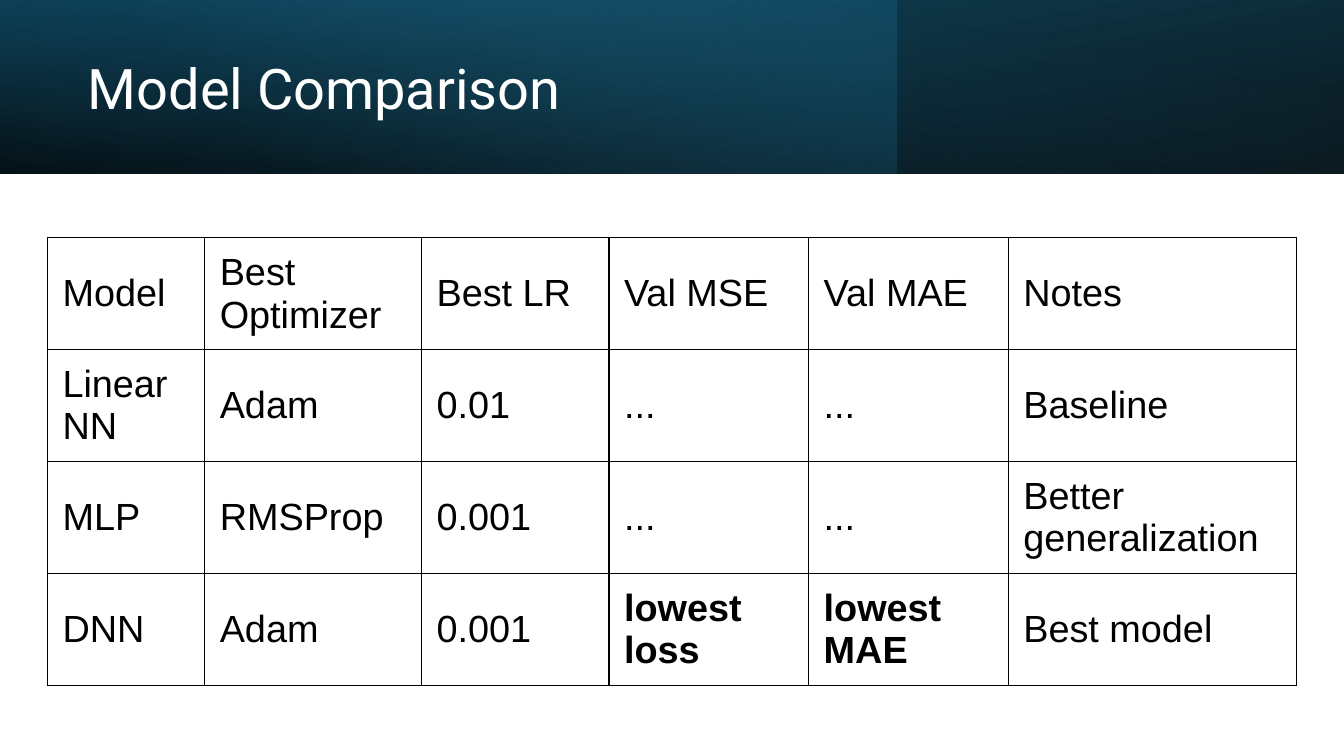
from lxml.etree import SubElement
from pptx import Presentation
from pptx.dml.color import RGBColor
from pptx.enum.shapes import MSO_SHAPE
from pptx.enum.text import MSO_ANCHOR, MSO_AUTO_SIZE, PP_ALIGN
from pptx.oxml import parse_xml
from pptx.oxml.ns import nsdecls, qn
from pptx.util import Inches, Pt

COLORS = {
    "white": "FFFFFF",
    "black": "000000",
    "deep": "104862",
    "teal": "156082",
    "sky": "46B1E1",
}
TITLE_FONT = "Roboto"
TABLE_FONT = "Arial"
BANNER_HEIGHT = 1.72

COLUMN_WIDTHS = [1.56, 2.15, 1.86, 1.98, 1.98, 2.86]
ROW_HEIGHT = 1.11
ROWS = [
    ["Model", "Best Optimizer", "Best LR", "Val MSE", "Val MAE", "Notes"],
    ["Linear NN", "Adam", "0.01", "...", "...", "Baseline"],
    ["MLP", "RMSProp", "0.001", "...", "...", "Better generalization"],
    ["DNN", "Adam", "0.001", "lowest loss", "lowest MAE", "Best model"],
]
BOLD_TEXTS = {"lowest loss", "lowest MAE"}


class SlideBuilder:
    def __init__(self, deck):
        self.page = deck.slides.add_slide(deck.slide_layouts[5])

    def style_text(self, paragraph, font, size, color, bold=False):
        for span in paragraph.runs:
            span.font.name = font
            span.font.size = Pt(size)
            span.font.bold = bold
            span.font.color.rgb = RGBColor.from_string(COLORS[color])

    def banner(self, width, stops, angle, rotation=0, flip=False):
        """Add a gradient band; stops are (position %, color, opacity %)."""
        band = self.page.shapes.add_shape(
            MSO_SHAPE.RECTANGLE, 0, 0, Inches(width), Inches(BANNER_HEIGHT))
        band.shadow.inherit = False
        band.line.fill.background()
        band.rotation = rotation
        properties = band.element.spPr
        if flip:
            properties.xfrm.set("flipH", "1")
        gradient = parse_xml(f'<a:gradFill {nsdecls("a")} rotWithShape="1"/>')
        stop_list = SubElement(gradient, qn("a:gsLst"))
        for position, color, opacity in stops:
            stop = SubElement(stop_list, qn("a:gs"), pos=str(position * 1000))
            tint = SubElement(stop, qn("a:srgbClr"), val=COLORS[color])
            SubElement(tint, qn("a:alpha"), val=str(opacity * 1000))
        SubElement(gradient, qn("a:lin"), ang=str(angle * 60000), scaled="0")
        properties.find(qn("a:prstGeom")).addnext(gradient)

    def title(self, text, left, top, width, height):
        box = self.page.shapes.title
        box.left, box.top = Inches(left), Inches(top)
        box.width, box.height = Inches(width), Inches(height)
        # Bring the title in front of the banner.
        box.element.getparent().append(box.element)
        frame = box.text_frame
        frame.text = text
        frame.word_wrap = True
        frame.auto_size = MSO_AUTO_SIZE.NONE
        frame.vertical_anchor = MSO_ANCHOR.MIDDLE
        paragraph = frame.paragraphs[0]
        paragraph.alignment = PP_ALIGN.LEFT
        paragraph.line_spacing = 0.9
        self.style_text(paragraph, TITLE_FONT, 40, "white")

    def table(self, rows, widths, left, top):
        table = self.page.shapes.add_table(
            len(rows), len(widths), Inches(left), Inches(top),
            Inches(sum(widths)), Inches(ROW_HEIGHT * len(rows))).table
        table.first_row = table.horz_banding = False
        for column, width in zip(table.columns, widths):
            column.width = Inches(width)
        for row, texts in zip(table.rows, rows):
            row.height = Inches(ROW_HEIGHT)
            for cell, text in zip(row.cells, texts):
                self.fill_cell(cell, text)

    def fill_cell(self, cell, text):
        cell.text = text
        cell.vertical_anchor = MSO_ANCHOR.MIDDLE
        cell.margin_left = cell.margin_right = Inches(0.15)
        cell.margin_top = cell.margin_bottom = Inches(0.08)
        cell.fill.background()
        self.style_text(cell.text_frame.paragraphs[0], TABLE_FONT, 27,
                        "black", text in BOLD_TEXTS)
        properties = cell._tc.get_or_add_tcPr()
        for index, side in enumerate("LRTB"):
            border = parse_xml(
                f'<a:ln{side} {nsdecls("a")} w="{Pt(1)}"><a:solidFill>'
                f'<a:srgbClr val="{COLORS["black"]}"/>'
                f'</a:solidFill></a:ln{side}>')
            properties.insert(index, border)


def main():
    deck = Presentation()
    deck.slide_width, deck.slide_height = Inches(13.33), Inches(7.5)
    builder = SlideBuilder(deck)
    builder.banner(13.33, [(0, "black", 96), (100, "deep", 100)], 100,
                   rotation=180, flip=True)
    builder.banner(8.89, [(0, "teal", 41), (74, "sky", 0)], 140)
    builder.banner(13.33, [(0, "black", 63), (78, "teal", 15)], 260, flip=True)
    builder.title("Model Comparison", 0.77, 0.27, 7.72, 1.27)
    builder.table(ROWS, COLUMN_WIDTHS, 0.47, 2.36)
    deck.save("out.pptx")


if __name__ == "__main__":
    main()
